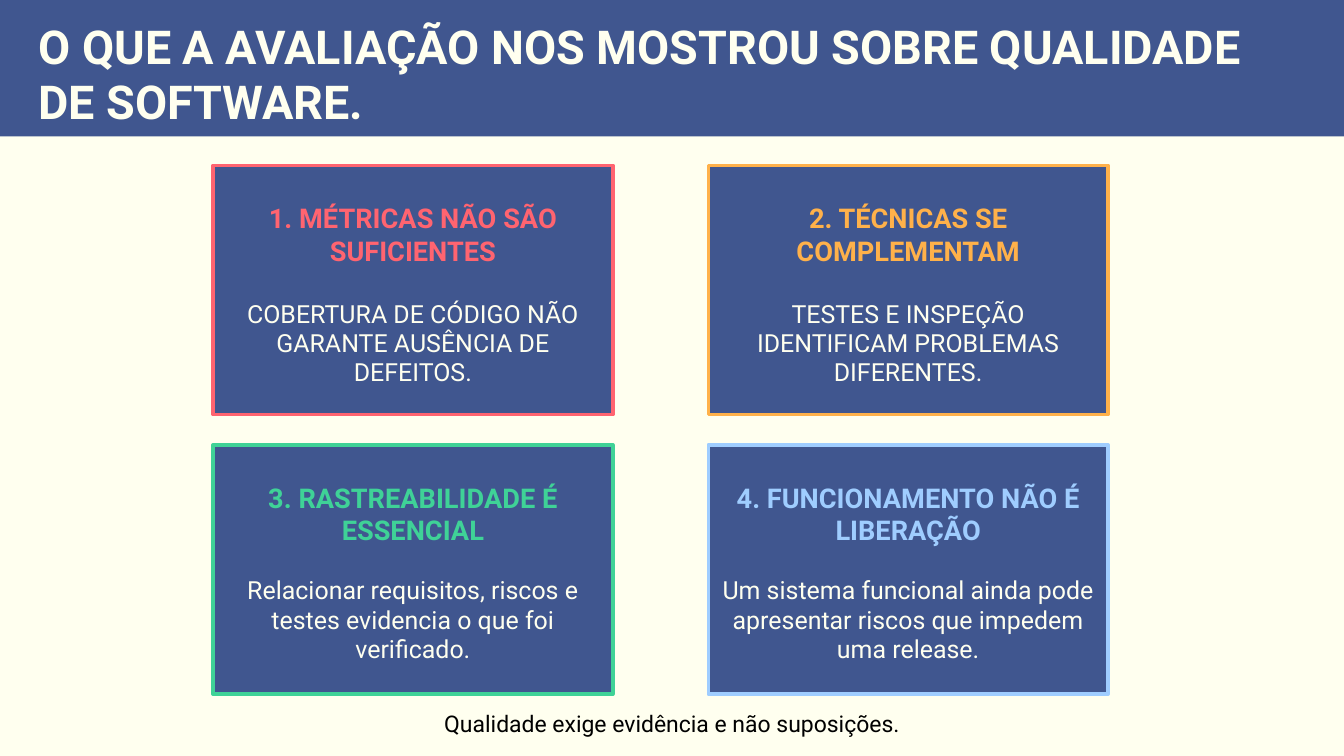
from dataclasses import dataclass

from pptx import Presentation, util as u
from pptx.dml.color import RGBColor
from pptx.enum import shapes, text

# Content
TITLE = "O QUE A AVALIAÇÃO NOS MOSTROU SOBRE QUALIDADE DE SOFTWARE."
CARDS = [  # heading, body, accent
    ("1. MÉTRICAS NÃO SÃO SUFICIENTES",
     "COBERTURA DE CÓDIGO NÃO GARANTE AUSÊNCIA DE DEFEITOS.", "FF6470"),
    ("2. TÉCNICAS SE COMPLEMENTAM",
     "TESTES E INSPEÇÃO IDENTIFICAM PROBLEMAS DIFERENTES.", "FFB14A"),
    ("3. RASTREABILIDADE É ESSENCIAL",
     "Relacionar requisitos, riscos e testes evidencia o que foi verificado.", "3FD297"),
    ("4. FUNCIONAMENTO NÃO É LIBERAÇÃO",
     "Um sistema funcional ainda pode apresentar riscos que impedem uma release.", "9FCDFF"),
]
CLOSING = "Qualidade exige evidência e não suposições."


@dataclass(frozen=True)
class Theme:
    font: str = "Roboto"
    cream: str = "FFFFEF"
    navy: str = "40568F"
    black: str = "000000"
    # (type size, line pitch) in points
    title: tuple = (50, 59)
    heading: tuple = (29.1, 34.4)
    body: tuple = (26.7, 31.5)
    closing: tuple = (24.6, 29.1)
    border: float = 3.75


THEME = Theme()

# Layout, in inches
WIDTH, HEIGHT = 20, 11.25
BAND_HEIGHT = 2.03
COLUMNS = 2
CARD_WIDTH, CARD_HEIGHT = 5.95, 3.71
GRID_LEFT, GRID_TOP = 3.17, 2.46
COLUMN_STEP, ROW_STEP = 7.37, 4.16
CARD_INSETS = (0.1, 0.55, 0.1, 0)
BODY_GAPS = (34.4, 31.5)  # points above the body text, by row


def place(shape, left, top, width, height):
    shape.left, shape.top = u.Inches(left), u.Inches(top)
    shape.width, shape.height = u.Inches(width), u.Inches(height)


def prepare_frame(shape, insets=(0, 0, 0, 0)):
    frame = shape.text_frame
    frame.word_wrap = True
    frame.auto_size = text.MSO_AUTO_SIZE.NONE
    frame.vertical_anchor = text.MSO_ANCHOR.TOP
    (frame.margin_left, frame.margin_top,
     frame.margin_right, frame.margin_bottom) = map(u.Inches, insets)
    return frame


def write(paragraph, content, *, style, color, bold=False,
          align=text.PP_ALIGN.CENTER, before=0):
    size, pitch = style
    paragraph.alignment = align
    paragraph.line_spacing = u.Pt(pitch)
    paragraph.space_before = u.Pt(before)
    run = paragraph.add_run()
    run.text = content
    run.font.name, run.font.size, run.font.bold = THEME.font, u.Pt(size), bold
    run.font.color.rgb = RGBColor.from_string(color)


def add_panel(slide, box, line=None):
    panel = slide.shapes.add_shape(shapes.MSO_SHAPE.RECTANGLE, *map(u.Inches, box))
    panel.shadow.inherit = False
    panel.fill.solid()
    panel.fill.fore_color.rgb = RGBColor.from_string(THEME.navy)
    if line:
        panel.line.color.rgb = RGBColor.from_string(line)
        panel.line.width = u.Pt(THEME.border)
    else:
        panel.line.fill.background()
    return panel


def add_header(slide):
    band = add_panel(slide, (0, 0, WIDTH, BAND_HEIGHT))
    title = slide.shapes.title
    title.element.addprevious(band.element)  # band goes behind the title
    place(title, 0.57, 0.28, 18.86, 1.63)
    write(prepare_frame(title).paragraphs[0], TITLE, style=THEME.title,
          color=THEME.cream, bold=True, align=text.PP_ALIGN.LEFT)


def add_card(slide, index, heading, body, accent):
    row, column = divmod(index, COLUMNS)
    card = add_panel(slide, (GRID_LEFT + column * COLUMN_STEP,
                             GRID_TOP + row * ROW_STEP,
                             CARD_WIDTH, CARD_HEIGHT), line=accent)
    frame = prepare_frame(card, CARD_INSETS)
    write(frame.paragraphs[0], heading, style=THEME.heading, color=accent, bold=True)
    write(frame.add_paragraph(), body, style=THEME.body, color=THEME.cream,
          before=BODY_GAPS[row])


def main():
    presentation = Presentation()
    presentation.slide_width = u.Inches(WIDTH)
    presentation.slide_height = u.Inches(HEIGHT)
    slide = presentation.slides.add_slide(presentation.slide_layouts[5])
    slide.background.fill.solid()
    slide.background.fill.fore_color.rgb = RGBColor.from_string(THEME.cream)

    add_header(slide)

    # Cards
    for index, card in enumerate(CARDS):
        add_card(slide, index, *card)

    # Closing line, centred on the slide
    closing = slide.shapes.add_textbox(*map(u.Inches, (6.56, 10.56, 6.88, 0.4)))
    write(prepare_frame(closing).paragraphs[0], CLOSING,
          style=THEME.closing, color=THEME.black)

    presentation.save("out.pptx")


if __name__ == "__main__":
    main()
